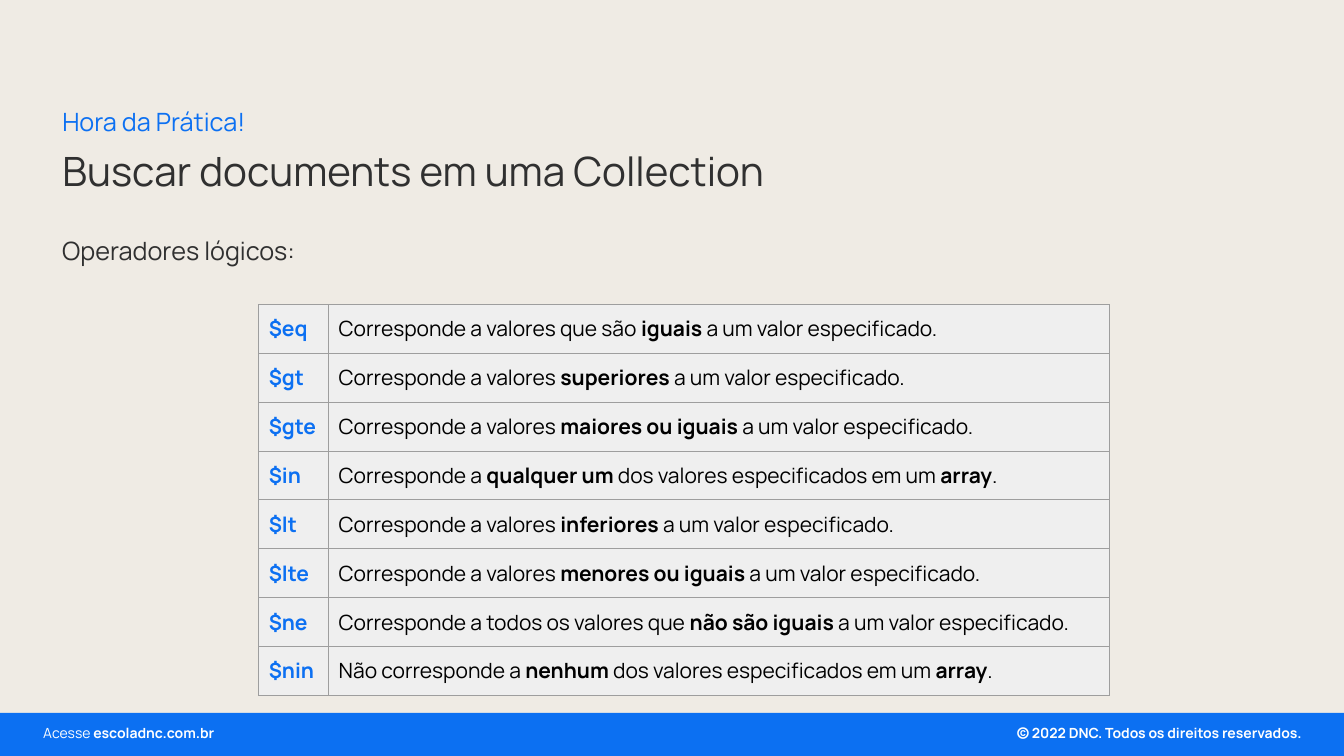
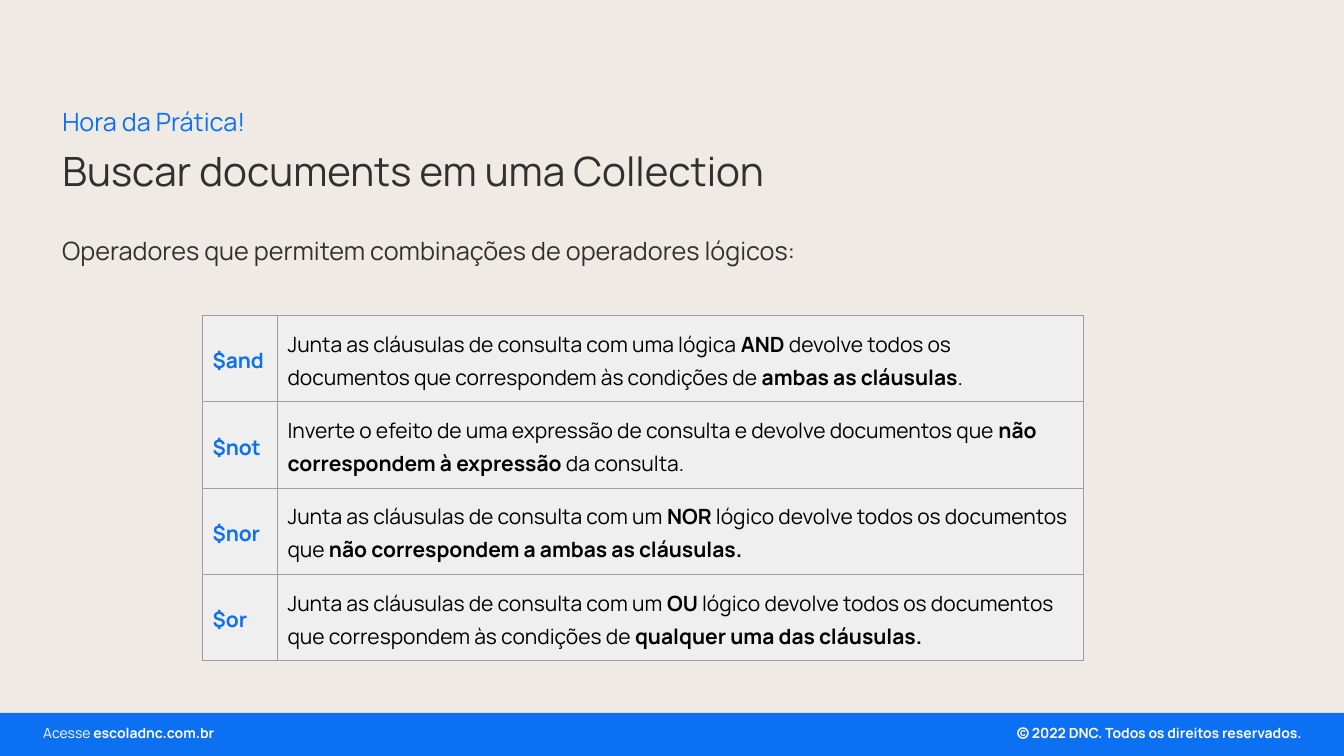
from dataclasses import dataclass

from lxml import etree
from pptx import Presentation
from pptx.dml.color import RGBColor
from pptx.enum import shapes, text
from pptx.oxml import ns
from pptx.util import Pt


@dataclass(frozen=True)
class Theme:
    font: str = "Manrope"
    paper: str = "EFEBE4"
    accent: str = "0C70F2"
    heading: str = "303030"
    body: str = "000000"
    cell: str = "EFEFEF"
    border: str = "9E9E9E"
    on_accent: str = "FFFFFF"
    title_size: float = 28.8
    lead_size: float = 18
    table_size: float = 15
    footer_size: float = 10
    border_width: float = 0.75


@dataclass(frozen=True)
class Box:
    left: float
    top: float
    width: float
    height: float

    def lengths(self) -> tuple:
        return Pt(self.left), Pt(self.top), Pt(self.width), Pt(self.height)


@dataclass(frozen=True)
class Style:
    size: float
    color: str
    spacing: float = 1.0
    align: text.PP_ALIGN = text.PP_ALIGN.LEFT


@dataclass(frozen=True)
class Operator:
    symbol: str
    meaning: str


@dataclass(frozen=True)
class OperatorSlide:
    lead: str
    left: float
    top: float
    columns: tuple[float, float]
    row_height: float
    spacing: float
    operators: tuple[Operator, ...]


THEME = Theme()
SLIDE_WIDTH, SLIDE_HEIGHT = 960, 540
MARGIN = 37.4
BAND_HEIGHT = 30.8
BAND = Box(0, SLIDE_HEIGHT - BAND_HEIGHT, SLIDE_WIDTH, BAND_HEIGHT)
KICKER = Box(MARGIN, 74.9, 505, 31)
TITLE = Box(MARGIN, 104.4, 844, 31)
LEAD = Box(MARGIN, 161.3, 878, 38)
SITE = Box(23.8, 514, 236, 19.5)
COPYRIGHT = Box(680.4, 514, 256.3, 19.5)
CELL_INSET = 7.2

SLIDES = (
    OperatorSlide(
        "Operadores lógicos:", 184.8, 217.5, (50, 558), 34.9, 1.0,
        (
            Operator("$eq", "Corresponde a valores que são **iguais **a um valor especificado."),
            Operator("$gt", "Corresponde a valores **superiores **a um valor especificado."),
            Operator("$gte", "Corresponde a valores **maiores ou iguais** a um valor especificado."),
            Operator("$in", "Corresponde a **qualquer um** dos valores especificados em um **array**."),
            Operator("$lt", "Corresponde a valores **inferiores **a um valor especificado."),
            Operator("$lte", "Corresponde a valores **menores ou iguais** a um valor especificado."),
            Operator("$ne", "Corresponde a todos os valores que **não são iguais** a um valor especificado."),
            Operator("$nin", "Não corresponde a **nenhum **dos valores especificados em um **array**."),
        ),
    ),
    OperatorSlide(
        "Operadores que permitem combinações de operadores lógicos:",
        144.7, 225.4, (53.5, 576), 61.6, 1.15,
        (
            Operator("$and", "Junta as cláusulas de consulta com uma lógica **AND **devolve todos os "
                     "documentos que correspondem às condições de **ambas as cláusulas**."),
            Operator("$not", "Inverte o efeito de uma expressão de consulta e devolve documentos que"
                     "** não correspondem à expressão** da consulta."),
            Operator("$nor", "Junta as cláusulas de consulta com um **NOR **lógico devolve todos os "
                     "documentos que** não correspondem a ambas as cláusulas.**"),
            Operator("$or", "Junta as cláusulas de consulta com um **OU **lógico devolve todos os "
                     "documentos que correspondem às condições de** qualquer uma das cláusulas.**"),
        ),
    ),
)


def rgb(color: str) -> RGBColor:
    return RGBColor.from_string(color)


def write(frame, content: str, style: Style) -> None:
    frame.word_wrap = True
    paragraph = frame.paragraphs[0]
    paragraph.alignment = style.align
    paragraph.line_spacing = style.spacing
    font = paragraph.font
    font.name, font.size = THEME.font, Pt(style.size)
    font.color.rgb = rgb(style.color)
    for index, part in enumerate(content.split("**")):
        if part:
            run = paragraph.add_run()
            run.text = part
            run.font.bold = index % 2 == 1


def add_text(slide, box: Box, content: str, style: Style) -> None:
    frame = slide.shapes.add_textbox(*box.lengths()).text_frame
    write(frame, content, style)


def add_footer(slide) -> None:
    band = slide.shapes.add_shape(shapes.MSO_SHAPE.RECTANGLE, *BAND.lengths())
    band.shadow.inherit = False
    band.fill.solid()
    band.fill.fore_color.rgb = rgb(THEME.accent)
    band.line.fill.background()
    add_text(slide, COPYRIGHT, "**© 2022 DNC. Todos os direitos reservados.**",
             Style(THEME.footer_size, THEME.on_accent, align=text.PP_ALIGN.RIGHT))
    add_text(slide, SITE, "Acesse **escoladnc.com.br**",
             Style(THEME.footer_size, THEME.on_accent))


def add_headings(slide, lead: str) -> None:
    add_text(slide, LEAD, lead, Style(THEME.lead_size, THEME.heading, 1.15))
    title = slide.shapes.title
    title.left, title.top, title.width, title.height = TITLE.lengths()
    title.text_frame.auto_size = text.MSO_AUTO_SIZE.NONE
    title.text_frame.vertical_anchor = text.MSO_ANCHOR.TOP
    write(title.text_frame, "Buscar documents em uma Collection",
          Style(THEME.title_size, THEME.heading, 0.9))
    add_text(slide, KICKER, "Hora da Prática!",
             Style(THEME.lead_size, THEME.accent, 0.9))


def add_borders(cell) -> None:
    properties = cell._tc.get_or_add_tcPr()
    for side in ("a:lnL", "a:lnR", "a:lnT", "a:lnB"):
        line = etree.SubElement(properties, ns.qn(side), w=str(Pt(THEME.border_width)))
        fill = etree.SubElement(line, ns.qn("a:solidFill"))
        etree.SubElement(fill, ns.qn("a:srgbClr"), val=THEME.border)


def fill_cell(cell, content: str, style: Style) -> None:
    add_borders(cell)
    cell.fill.solid()
    cell.fill.fore_color.rgb = rgb(THEME.cell)
    cell.margin_left = cell.margin_right = Pt(CELL_INSET)
    cell.margin_top = cell.margin_bottom = Pt(CELL_INSET)
    cell.vertical_anchor = text.MSO_ANCHOR.MIDDLE
    write(cell.text_frame, content, style)


def add_operators(slide, page: OperatorSlide) -> None:
    count = len(page.operators)
    box = Box(page.left, page.top, sum(page.columns), count * page.row_height)
    table = slide.shapes.add_table(count, len(page.columns), *box.lengths()).table
    table.first_row = table.horz_banding = False
    for column, width in zip(table.columns, page.columns):
        column.width = Pt(width)
    symbol_style = Style(THEME.table_size, THEME.accent, page.spacing)
    meaning_style = Style(THEME.table_size, THEME.body, page.spacing)
    for index, operator in enumerate(page.operators):
        table.rows[index].height = Pt(page.row_height)
        fill_cell(table.cell(index, 0), f"**{operator.symbol}**", symbol_style)
        fill_cell(table.cell(index, 1), operator.meaning, meaning_style)


def main() -> None:
    deck = Presentation()
    deck.slide_width, deck.slide_height = Pt(SLIDE_WIDTH), Pt(SLIDE_HEIGHT)
    background = deck.slide_master.background.fill
    background.solid()
    background.fore_color.rgb = rgb(THEME.paper)
    title_only = deck.slide_layouts.get_by_name("Title Only")
    for page in SLIDES:
        slide = deck.slides.add_slide(title_only)
        add_footer(slide)
        add_headings(slide, page.lead)
        add_operators(slide, page)
    deck.save("out.pptx")


if __name__ == "__main__":
    main()
